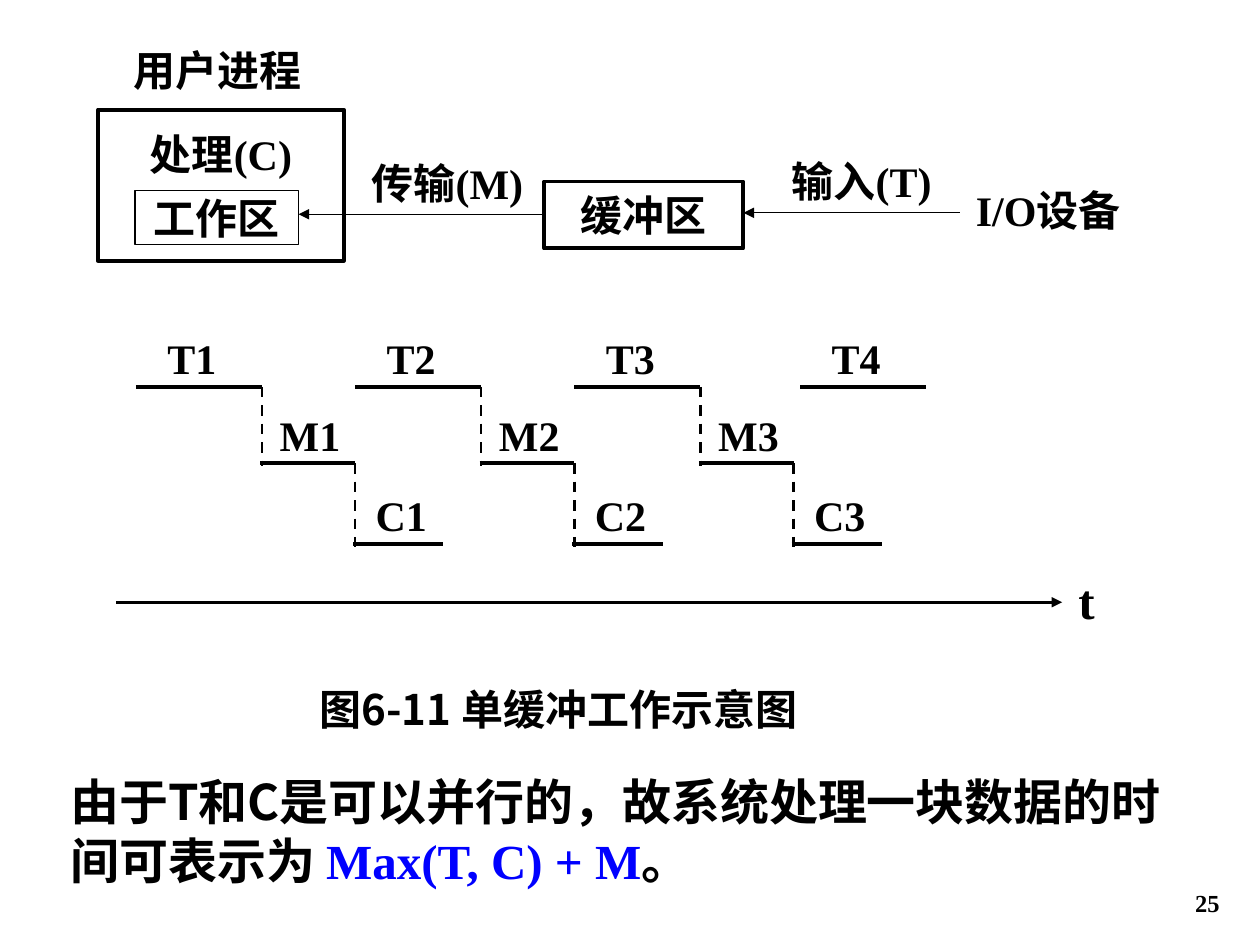
from pptx import Presentation
from pptx.dml.color import RGBColor
from pptx.enum.dml import MSO_LINE_DASH_STYLE as Dash
from pptx.enum.shapes import MSO_CONNECTOR as Link, MSO_SHAPE as Kind
from pptx.enum.text import MSO_ANCHOR as Anchor, MSO_AUTO_SIZE as Fit, PP_ALIGN as Align
from pptx.oxml.ns import qn
from pptx.util import Cm, Pt
from lxml.etree import SubElement

BLACK = RGBColor(0, 0, 0)
BLUE = RGBColor(0, 0, 255)
SERIF = "Times New Roman"
SANS = "Noto Sans CJK SC"
WIDE = (0.25, 0.13)
TIGHT = (0.05, 0.03)


def add_run(para, text, size=24, font=SERIF, color=BLACK):
    run = para.add_run()
    run.text = text
    run.font.size = Pt(size)
    run.font.bold = True
    run.font.color.rgb = color
    run.font.name = font
    east = SubElement(run.font._element, qn("a:ea"))
    east.set("typeface", SANS)


def set_frame(shape, pad=WIDE, anchor=Anchor.TOP, align=Align.CENTER, wrap=True):
    """Lay out the text frame and return its first paragraph."""
    frame = shape.text_frame
    frame.auto_size = Fit.NONE
    frame.word_wrap = wrap
    frame.vertical_anchor = anchor
    frame.margin_left = frame.margin_right = Cm(pad[0])
    frame.margin_top = frame.margin_bottom = Cm(pad[1])
    para = frame.paragraphs[0]
    para.alignment = align
    return para


def add_text(slide, area, **style):
    return set_frame(slide.shapes.add_textbox(*map(Cm, area)), **style)


def add_label(slide, text, area, size=24, **style):
    add_run(add_text(slide, area, **style), text, size)


def add_box(slide, text, area, width, **style):
    box = slide.shapes.add_shape(Kind.RECTANGLE, *map(Cm, area))
    box.shadow.inherit = False
    box.fill.background()
    box.line.color.rgb = BLACK
    box.line.width = Pt(width)
    add_run(set_frame(box, **style), text)


def add_line(slide, start, end, width, dash=False, arrow=False):
    line = slide.shapes.add_connector(Link.STRAIGHT, *map(Cm, start + end))
    line.line.color.rgb = BLACK
    line.line.width = Pt(width)
    if dash:
        line.line.dash_style = Dash.DASH
    if arrow:
        SubElement(line.line._get_or_add_ln(), qn("a:tailEnd"), type="triangle")
    SubElement(line._element.spPr, qn("a:effectLst"))


def add_stage(slide, name, left, top, width, shift=0):
    """Draw one timed step: a bar with its name above it."""
    add_line(slide, (left, top), (left + width, top), 2.25)
    add_label(slide, name, (left + shift, top - 1.22, 2.26, 1.27))


def add_cycle(slide, num, left):
    """Draw input, transfer and processing of one block as falling steps."""
    add_stage(slide, f"T{num}", left, 7.8, 2.54)
    add_line(slide, (left + 2.54, 7.8), (left + 2.54, 9.39), 1.5, dash=True)
    add_stage(slide, f"M{num}", left + 2.51, 9.34, 1.91, -0.13)
    add_line(slide, (left + 4.42, 9.34), (left + 4.42, 11.04), 1.5, dash=True)
    add_stage(slide, f"C{num}", left + 4.38, 10.96, 1.82, -0.16)


def add_flow(slide):
    add_box(slide, "处理(C)", (1.98, 2.21, 4.95, 3.05), 2.25, pad=(0.25, 0.39))
    mid = dict(anchor=Anchor.MIDDLE, wrap=False, pad=TIGHT)
    add_box(slide, "工作区", (2.72, 3.84, 3.3, 1.09), 0.75, **mid)
    add_label(slide, "用户进程", (1.78, 0.76, 5.21, 1.27))
    add_box(slide, "缓冲区", (10.97, 3.66, 4.01, 1.35), 2.25, **mid)
    add_line(slide, (19.35, 4.29), (14.99, 4.29), 0.75, arrow=True)
    add_line(slide, (10.95, 4.32), (6.02, 4.32), 0.75, arrow=True)
    for text, left, top in (("I/O设备", 19.15, 3.68), ("输入(T)", 15.39, 3.1),
                            ("传输(M)", 7.04, 3.15)):
        add_label(slide, text, (left, top, 3.96, 1.07), pad=TIGHT)


def add_chart(slide):
    for i in range(3):
        add_cycle(slide, i + 1, 2.74 + 4.42 * i)
    add_stage(slide, "T4", 16.13, 7.8, 2.54)
    add_line(slide, (2.34, 12.14), (21.41, 12.14), 1.5, arrow=True)
    add_label(slide, "t", (21.49, 11.38, 1.22, 1.45), 28, align=Align.LEFT)


def add_caption(slide):
    title = slide.shapes.title
    title.left, title.top, title.width, title.height = map(Cm, (4.88, 13.64, 12.75, 1.27))
    add_run(set_frame(title), "图6-11 单缓冲工作示意图", font=SANS)


def add_note(slide):
    para = add_text(slide, (1.17, 15.42, 22.66, 2.64), align=Align.LEFT)
    add_run(para, "由于T和C是可以并行的，故系统处理一块数据的时间可表示为 ", 28, SANS)
    add_run(para, "Max(T, C) + M", 28, color=BLUE)
    add_run(para, "。", 28, SANS)


def main():
    deck = Presentation()
    deck.slide_width, deck.slide_height = Cm(25.4), Cm(19.05)
    slide = deck.slides.add_slide(deck.slide_layouts[5])
    add_caption(slide)
    add_flow(slide)
    add_chart(slide)
    add_note(slide)
    add_label(slide, "25", (19.56, 17.35, 5.28, 1.27), 14,
              anchor=Anchor.BOTTOM, align=Align.RIGHT)
    deck.save("out.pptx")


if __name__ == "__main__":
    main()
